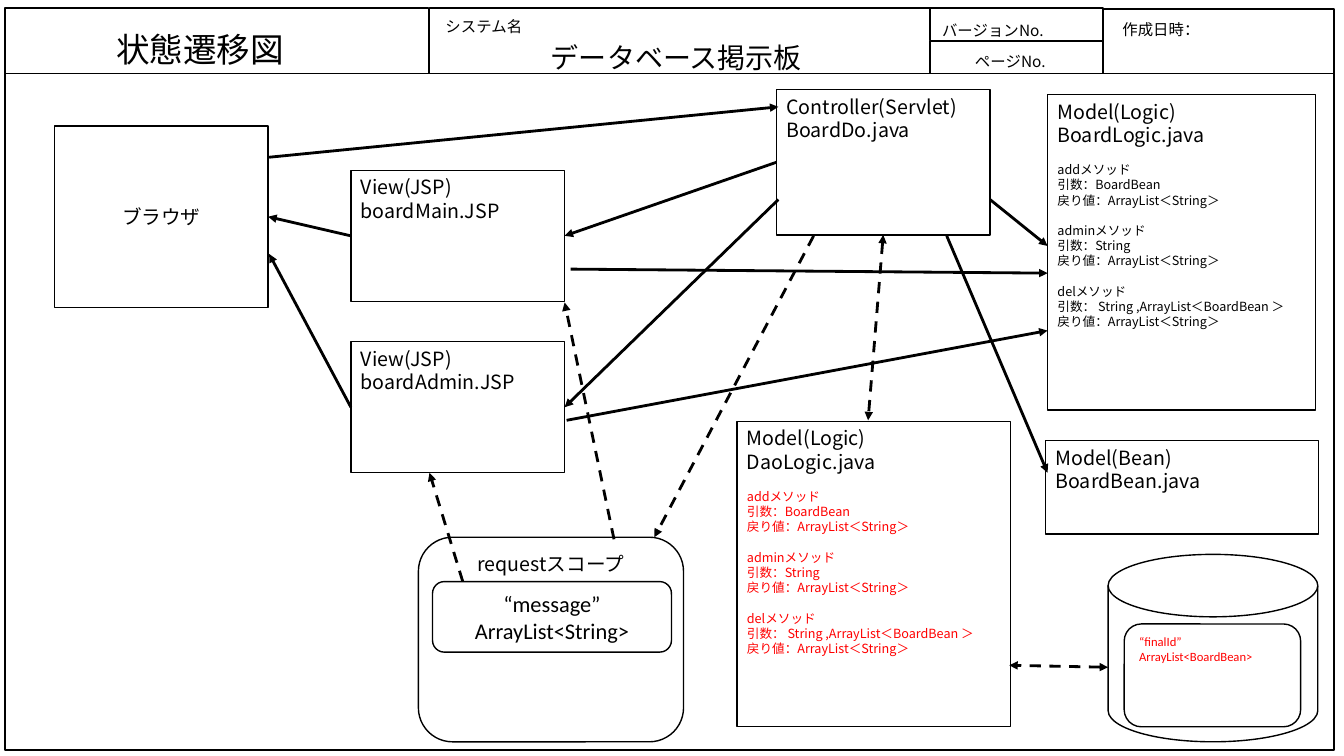
from pptx import Presentation
from pptx.dml.color import RGBColor as RGB
from pptx.enum.dml import MSO_LINE as DASH
from pptx.enum.shapes import MSO_CONNECTOR as CONN, MSO_SHAPE as SHAPE
from pptx.enum.text import MSO_ANCHOR as ANCHOR, PP_ALIGN as ALIGN
from pptx.oxml.ns import qn
from pptx.util import Inches, Pt
from lxml.etree import SubElement

COLORS = {"ink": "000000", "paper": "FFFFFF", "alert": "FF0000"}
JP, LATIN = "Noto Sans CJK JP", "Calibri"
TOP, LEFT, BOTTOM, RIGHT = range(4)


class Diagram:
    """Holds the style and the current slide."""

    def __init__(self, prs):
        self.slide = prs.slides.add_slide(prs.slide_layouts[5])
        self.shapes = self.slide.shapes

    def color(self, name):
        return RGB.from_string(COLORS[name])

    def fill_text(self, sp, lines, align=ALIGN.LEFT, anchor=ANCHOR.TOP, **style):
        """Each line is a text, or a (text, own style) pair."""
        tf = sp.text_frame
        for key, value in {"word_wrap": True, "vertical_anchor": anchor}.items():
            setattr(tf, key, value)
        for i, line in enumerate(lines):
            text, own = (line, {}) if isinstance(line, str) else line
            look = {"size": 14, "font": JP, "color": "ink", "before": 0, **style, **own}
            p = tf.paragraphs[0] if i == 0 else tf.add_paragraph()
            for key, value in {"alignment": align, "space_before": Pt(look["before"]),
                               "space_after": Pt(0), "line_spacing": 1.0}.items():
                setattr(p, key, value)
            r = p.add_run()
            r.text = text
            for key, value in {"name": look["font"], "size": Pt(look["size"])}.items():
                setattr(r.font, key, value)
            r.font.color.rgb = self.color(look["color"])
            latin = r.font._element.find(qn("a:latin"))
            ea = SubElement(r.font._element, qn("a:ea"))
            ea.set("typeface", look["font"])
            latin.addnext(ea)

    def title(self, box, text, **style):
        sp = self.shapes.title
        for key, value in zip(("left", "top", "width", "height"), box):
            setattr(sp, key, Inches(value))
        self.fill_text(sp, [text], ALIGN.CENTER, ANCHOR.MIDDLE, **style)

    def label(self, box, text, align=ALIGN.CENTER, **style):
        sp = self.shapes.add_textbox(*map(Inches, box))
        self.fill_text(sp, [text], align, **style)

    def box(self, box, lines=(), kind=SHAPE.RECTANGLE, fill=None, **style):
        sp = self.shapes.add_shape(kind, *map(Inches, box))
        sp.shadow.inherit = False
        if fill:
            sp.fill.solid()
            sp.fill.fore_color.rgb = self.color(fill)
        else:
            sp.fill.background()
        sp.line.color.rgb = self.color("ink")
        sp.line.width = Pt(1)
        self.fill_text(sp, lines, **style)
        return sp

    def arrow(self, start, end, dashed=False, both=False):
        """An end is an (x, y) point or a (shape, side) joint."""
        free = [isinstance(e[0], (int, float)) for e in (start, end)]
        points = [e if is_free else (0, 0) for e, is_free in zip((start, end), free)]
        c = self.shapes.add_connector(CONN.STRAIGHT, *(Inches(v) for pt in points for v in pt))
        if not free[0]:
            c.begin_connect(*start)
        if not free[1]:
            c.end_connect(*end)
        c.line.color.rgb = self.color("ink")
        c.line.width = Pt(2)
        if dashed:
            c.line.dash_style = DASH.DASH
        ln = c._element.spPr.find(qn("a:ln"))
        for tag in ("a:headEnd", "a:tailEnd") if both else ("a:tailEnd",):
            SubElement(ln, qn(tag)).set("type", "triangle")
        SubElement(c._element.spPr, qn("a:effectLst"))


def method_lines(color):
    """The three methods of a logic class, with a gap before each."""
    result = "戻り値：ArrayList＜String＞"
    small = {"size": 9, "color": color}
    lines = []
    for name, args in (("add", "BoardBean"), ("admin", "String"),
                       ("del", " String ,ArrayList＜BoardBean ＞")):
        lines += [(f"{name}メソッド", {**small, "before": 11}),
                  (f"引数：{args}", small), (result, small)]
    return lines


def main():
    prs = Presentation()
    prs.slide_width, prs.slide_height = Inches(13.33), Inches(7.5)
    d = Diagram(prs)

    # Frame and header cells
    for cell in ((0.05, 0.73, 13.18, 6.71), (0.05, 0.08, 4.2, 0.65), (4.26, 0.08, 4.97, 0.65),
                 (9.22, 0.08, 1.72, 0.32), (9.22, 0.41, 1.72, 0.32), (10.94, 0.09, 2.29, 0.64)):
        d.box(cell)

    # Header texts
    d.title((4.02, 0.36, 5.38, 0.41), "データベース掲示板", size=20)
    d.label((0.54, 0.24, 2.89, 0.49), "状態遷移図", size=24)
    d.label((4.18, 0.12, 1.24, 0.49), "システム名", size=11)
    d.label((8.94, 0.16, 1.51, 0.29), "バージョンNo.", ALIGN.RIGHT, size=11)
    d.label((9.22, 0.47, 1.25, 0.27), "ページNo.", ALIGN.RIGHT, size=11)
    d.label((10.85, 0.15, 1.33, 0.24), "作成日時：", size=11)

    # Browser, views, controller and models
    browser = d.box((0.54, 1.25, 2.12, 1.8), ["ブラウザ"], fill="paper",
                    align=ALIGN.CENTER, anchor=ANCHOR.MIDDLE)
    view_main, view_admin = (
        d.box((3.48, y, 2.12, 1.3), ["View(JSP)", name], fill="paper")
        for y, name in ((1.69, "boardMain.JSP"), (3.39, "boardAdmin.JSP")))
    controller = d.box((7.7, 0.89, 2.12, 1.44), ["Controller(Servlet)", "BoardDo.java"],
                       fill="paper")
    for place, name, color in (((10.39, 0.94, 2.66, 3.13), "BoardLogic.java", "ink"),
                               ((7.31, 4.18, 2.71, 3.03), "DaoLogic.java", "alert")):
        d.box(place, ["Model(Logic)", name] + method_lines(color), fill="paper")
    d.box((10.37, 4.37, 2.71, 0.93), ["Model(Bean)", "BoardBean.java"], fill="paper")

    # Request scope and data store
    rounded = SHAPE.ROUNDED_RECTANGLE
    d.box((4.15, 5.33, 2.63, 2.03), ["requestスコープ"], rounded, align=ALIGN.CENTER)
    d.box((4.29, 5.77, 2.37, 0.7), ["“message”", "ArrayList<String>"], rounded,
          align=ALIGN.CENTER, size=16, font=LATIN)
    d.box((10.99, 5.5, 2.08, 1.86), kind=SHAPE.FLOWCHART_MAGNETIC_DISK)
    d.box((11.15, 6.19, 1.75, 1.02), ["“finalId”", "ArrayList<BoardBean>"], rounded,
          size=9, font=LATIN, color="alert")

    # Control flow
    for start, end in (((2.67, 1.56), (7.72, 1.06)),
                       ((controller, LEFT), (view_main, RIGHT)),
                       ((7.72, 1.98), (view_admin, RIGHT)),
                       ((view_admin, LEFT), (2.67, 2.52)),
                       ((view_main, LEFT), (browser, RIGHT)),
                       ((9.82, 1.98), (10.39, 2.44)),
                       ((9.39, 2.34), (10.39, 4.69)),
                       ((5.62, 4.17), (10.39, 3.28)),
                       ((5.66, 2.67), (10.39, 2.71))):
        d.arrow(start, end)

    # Data flow
    for start, end, both in (((controller, BOTTOM), (8.61, 4.17), True),
                             ((8.07, 2.34), (6.49, 5.33), False),
                             ((4.59, 5.77), (4.26, 4.69), False),
                             ((6.09, 5.35), (5.6, 3), False),
                             ((10.99, 6.62), (10.01, 6.6), True)):
        d.arrow(start, end, dashed=True, both=both)

    prs.save("out.pptx")


if __name__ == "__main__":
    main()
